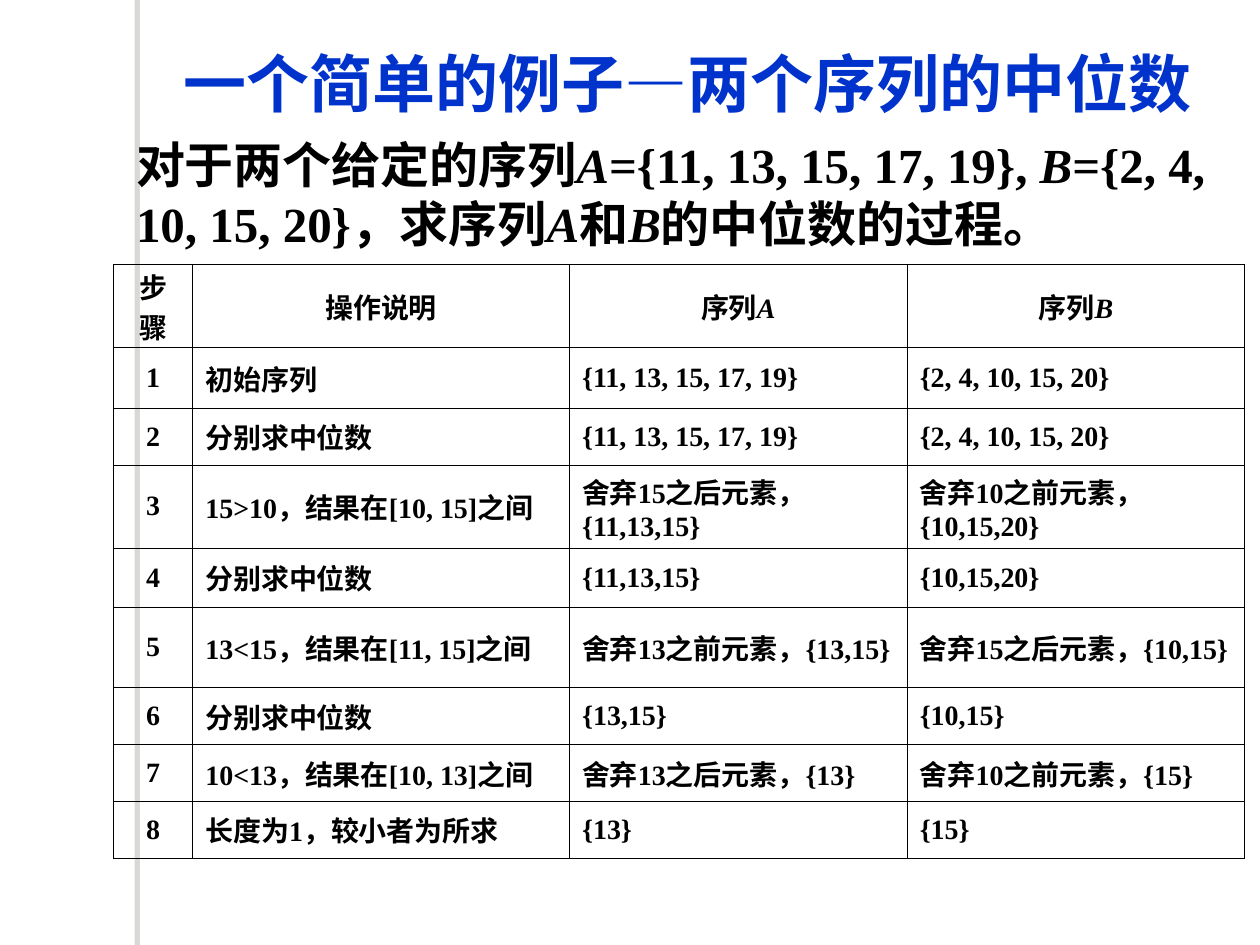
from lxml.etree import SubElement
from pptx import Presentation
from pptx.dml.color import RGBColor
from pptx.enum.shapes import MSO_SHAPE
from pptx.enum.text import MSO_ANCHOR, PP_ALIGN
from pptx.oxml import parse_xml
from pptx.oxml.ns import nsdecls, qn
from pptx.util import Inches, Pt

WHITE = RGBColor(0xFF, 0xFF, 0xFF)
BLACK = RGBColor(0x00, 0x00, 0x00)
BLUE = RGBColor(0x00, 0x33, 0xCC)
SHADOW = RGBColor(0x70, 0x6B, 0x5F)

LATIN_FONT = "Times New Roman"
CHINESE_FONT = "Noto Sans CJK SC"
GRID_COLUMNS, GRID_ROWS = 100, 75

TITLE = {"name": CHINESE_FONT, "size": Pt(36), "bold": True}
BODY = {"name": LATIN_FONT, "size": Pt(28), "bold": True}
CELL = {"name": LATIN_FONT, "size": Pt(16), "bold": True}

COLUMN_WIDTHS = [6.3, 29.9, 26.8, 26.8]
ROW_HEIGHTS = [6.6, 4.8, 4.5, 6.6, 4.7, 6.4, 4.5, 4.5, 4.5]
HEADER = ["步骤", "操作说明", "序列*A*", "序列*B*"]
STEPS = [
    ["初始序列", "{11, 13, 15, 17, 19}", "{2, 4, 10, 15, 20}"],
    ["分别求中位数", "{11, 13, 15, 17, 19}", "{2, 4, 10, 15, 20}"],
    ["15>10，结果在[10, 15]之间", "舍弃15之后元素，{11,13,15}", "舍弃10之前元素，{10,15,20}"],
    ["分别求中位数", "{11,13,15}", "{10,15,20}"],
    ["13<15，结果在[11, 15]之间", "舍弃13之前元素，{13,15}", "舍弃15之后元素，{10,15}"],
    ["分别求中位数", "{13,15}", "{10,15}"],
    ["10<13，结果在[10, 13]之间", "舍弃13之后元素，{13}", "舍弃10之前元素，{15}"],
    ["长度为1，较小者为所求", "{13}", "{15}"],
]


class SlideBuilder:
    def __init__(self, presentation):
        self.slide = presentation.slides.add_slide(presentation.slide_layouts[6])
        self.column = presentation.slide_width / GRID_COLUMNS
        self.row = presentation.slide_height / GRID_ROWS

    def place(self, left, top, width, height):
        return (round(left * self.column), round(top * self.row),
                round(width * self.column), round(height * self.row))

    def add_runs(self, paragraph, text, font_format, color=BLACK):
        for index, part in enumerate(text.split("*")):
            if not part:
                continue
            run = paragraph.add_run()
            run.text = part
            for name, value in font_format.items():
                setattr(run.font, name, value)
            run.font.italic = index % 2 == 1
            run.font.color.rgb = color
            SubElement(run.font._element, qn("a:ea"), typeface=CHINESE_FONT)

    def bar(self, *area):
        shape = self.slide.shapes.add_shape(MSO_SHAPE.RECTANGLE, *self.place(*area))
        shape.fill.solid()
        shape.fill.fore_color.rgb = WHITE
        shape.line.fill.background()
        shape.shadow.inherit = False
        effects = shape._element.spPr.find(qn("a:effectLst"))
        effects.append(parse_xml(
            f'<a:outerShdw {nsdecls("a")} dist="{Pt(3)}" dir="10800000" rotWithShape="0">'
            f'<a:srgbClr val="{SHADOW}"><a:alpha val="25000"/></a:srgbClr></a:outerShdw>'))

    def text(self, area, text, font_format, color=BLACK, inset=0):
        frame = self.slide.shapes.add_textbox(*self.place(*area)).text_frame
        settings = {"word_wrap": True, "margin_left": 0, "margin_right": 0,
                    "margin_top": round(inset * self.row), "margin_bottom": 0}
        for name, value in settings.items():
            setattr(frame, name, value)
        paragraph = frame.paragraphs[0]
        paragraph.line_spacing = Pt(font_format["size"].pt * 1.2)
        self.add_runs(paragraph, text, font_format, color)

    def borders(self, cell):
        properties = cell._tc.get_or_add_tcPr()
        for index, side in enumerate(("lnL", "lnR", "lnT", "lnB")):
            properties.insert(index, parse_xml(
                f'<a:{side} {nsdecls("a")} w="{Pt(0.45)}"><a:solidFill>'
                f'<a:srgbClr val="{BLACK}"/></a:solidFill></a:{side}>'))

    def table(self, left, top, rows, widths, heights):
        area = self.place(left, top, sum(widths), sum(heights))
        table = self.slide.shapes.add_table(len(rows), len(widths), *area).table
        table.first_row = table.horz_banding = False
        for column, width in zip(table.columns, widths):
            column.width = round(width * self.column)
        for row, height in zip(table.rows, heights):
            row.height = round(height * self.row)
        settings = {"vertical_anchor": MSO_ANCHOR.MIDDLE, "margin_left": Inches(0.1),
                    "margin_right": Inches(0.1), "margin_top": 0, "margin_bottom": 0}
        for row_index, texts in enumerate(rows):
            for column_index, text in enumerate(texts):
                cell = table.cell(row_index, column_index)
                for name, value in settings.items():
                    setattr(cell, name, value)
                cell.fill.background()
                self.borders(cell)
                paragraph = cell.text_frame.paragraphs[0]
                centred = row_index == 0 or column_index == 0
                paragraph.alignment = PP_ALIGN.CENTER if centred else PP_ALIGN.LEFT
                self.add_runs(paragraph, text, CELL)


def main():
    presentation = Presentation()
    presentation.slide_width = Inches(10)
    presentation.slide_height = Inches(7.5)
    builder = SlideBuilder(presentation)
    builder.bar(11.1, 0, 0.8, GRID_ROWS)
    builder.text((10.8, 10.4, 86.6, 9.3),
                 "对于两个给定的序列*A*={11, 13, 15, 17, 19},* B*={2, 4, 10, 15, 20}，"
                 "求序列*A*和*B*的中位数的过程。", BODY, inset=0.3)
    numbered_steps = [[str(number), *step] for number, step in enumerate(STEPS, 1)]
    builder.table(9, 21, [HEADER, *numbered_steps], COLUMN_WIDTHS, ROW_HEIGHTS)
    builder.text((14.6, 2.9, 84.1, 6), "一个简单的例子—两个序列的中位数", TITLE, BLUE, inset=0.6)
    presentation.save("out.pptx")


if __name__ == "__main__":
    main()
